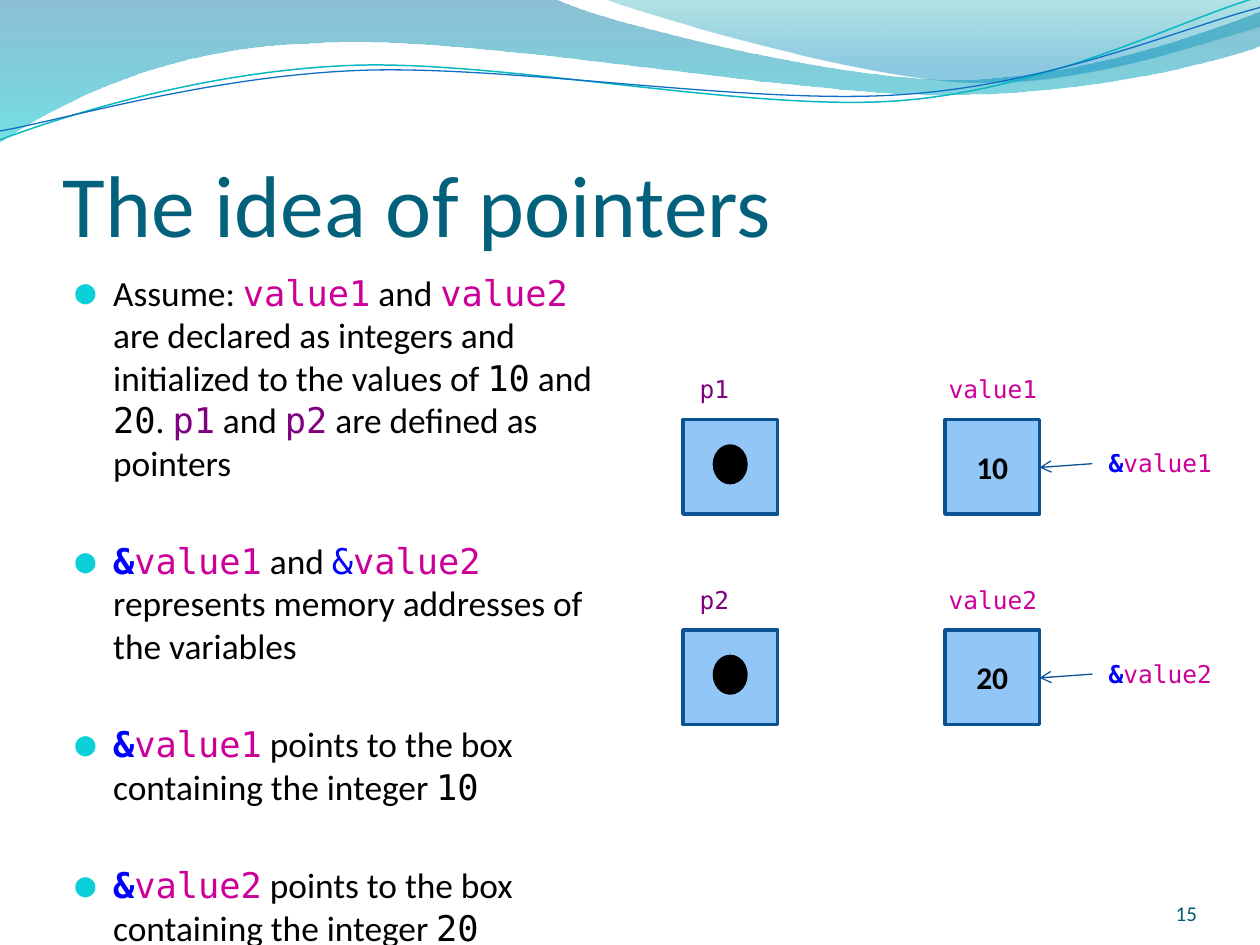
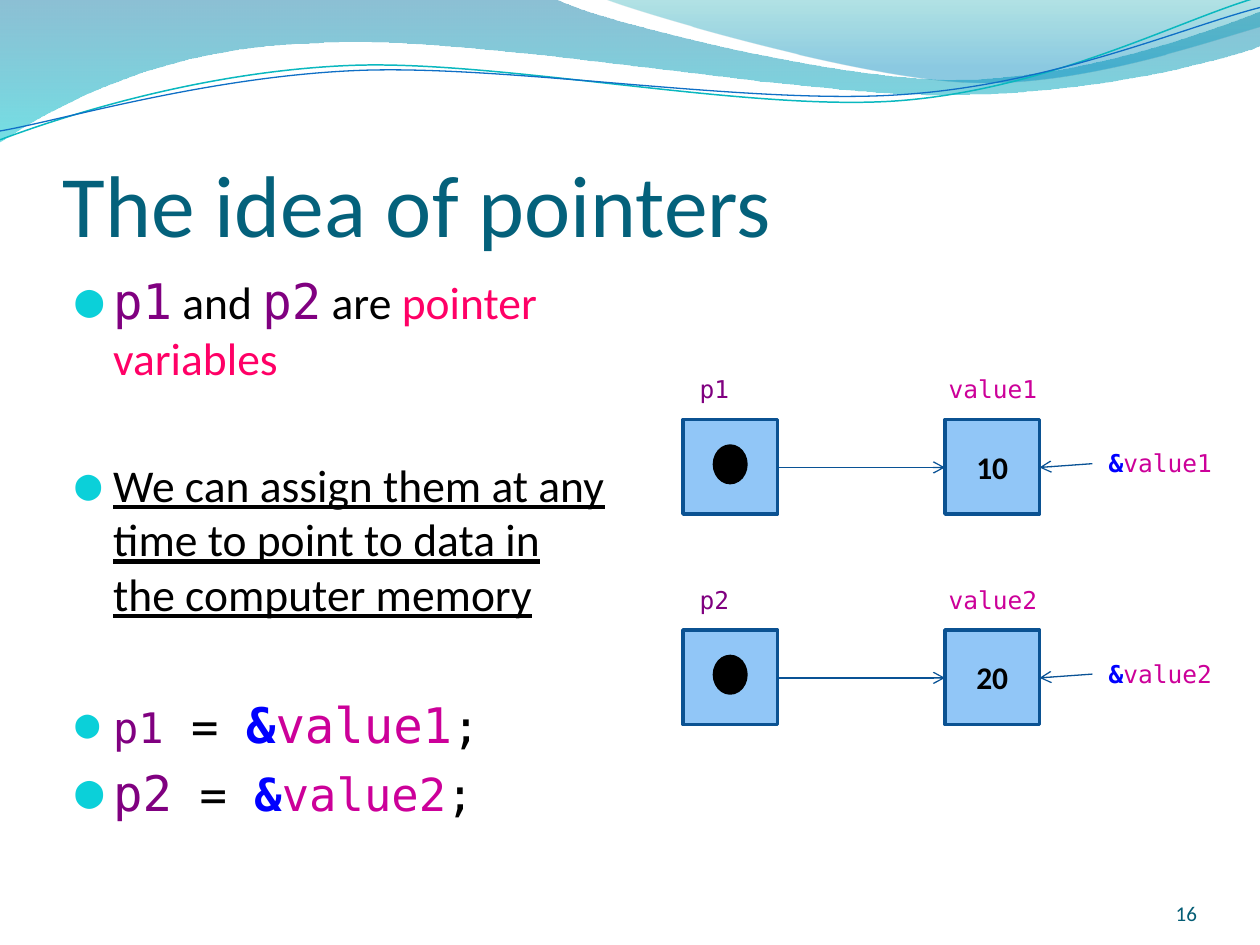
"""Two slides on the idea of C pointers, with a box-and-arrow memory diagram."""
from dataclasses import dataclass
from math import cos, radians, sin

from pptx import Presentation
from pptx.dml.color import RGBColor as RGB
from pptx.enum.shapes import MSO_CONNECTOR as CONN, MSO_SHAPE as SHAPE
from pptx.enum.text import MSO_ANCHOR as ANCHOR, PP_ALIGN as ALIGN
from pptx.oxml.ns import qn
from pptx.oxml.xmlchemy import OxmlElement
from pptx.util import Inches, Pt


@dataclass(frozen=True)
class Theme:
    """Colours, fonts and type sizes shared by the slides."""
    sans: str = "Calibri"
    mono: str = "DejaVu Sans Mono"
    title: str = "04617B"
    number: str = "045D75"
    text: str = "000000"
    bullet: str = "0BD0D9"
    value: str = "CC0099"
    pointer: str = "800080"
    address: str = "0000FF"
    accent: str = "FF0066"
    box_fill: str = "91C6F7"
    box_line: str = "0B5292"
    arrow: str = "095295"
    title_size: float = 50
    box_size: float = 18
    label_size: float = 14
    number_size: float = 12


T = Theme()

STYLES = {
    "title": dict(name=T.sans, color=T.title),
    "number": dict(name=T.sans, color=T.number),
    "text": dict(name=T.sans, color=T.text),
    "strong": dict(name=T.sans, color=T.text, bold=True),
    "underlined": dict(name=T.sans, color=T.text, underline=True),
    "accent": dict(name=T.sans, color=T.accent),
    "code": dict(name=T.mono, color=T.text),
    "value": dict(name=T.mono, color=T.value),
    "pointer": dict(name=T.mono, color=T.pointer),
    "amp": dict(name=T.mono, color=T.address, bold=True),
    "plain_amp": dict(name=T.mono, color=T.address),
}

WAVES = [
    ((0, 0), [(4.4, -0.01), (4.76, 0.17, 6.64, 0.63, 7.58, 0.63),
              (8.53, 0.63, 9.58, 0.26, 10, 0.09), (10.01, 0.36),
              (9.83, 0.44, 8.7, 0.76, 7.46, 0.75),
              (6.22, 0.75, 3.82, 0.28, 2.57, 0.34),
              (1.29, 0.36, 0.46, 0.83, -0.01, 1.13), (0, 0)],
     [(0, "0074A1", 45), (1, "00C6CF", 55)]),
    ((4.79, -0.01), [(5.09, 0.11, 6.82, 0.62, 7.69, 0.65),
                     (8.56, 0.69, 9.61, 0.32, 10, 0.21), (10, 0), (4.79, -0.01)],
     [(0, "00A1A9", 30), (0.8, "008BBF", 45)]),
]
SWIRL_TILT = -2.7
SWIRLS = [
    ((0, 1.11), [(0.48, 0.93, 1.58, 0.57, 2.77, 0.52),
                 (3.95, 0.47, 5.93, 0.89, 7.13, 0.8),
                 (8.33, 0.71, 9.38, 0.15, 9.98, -0.02)], (4.99, 0.57), "0AB8BF", 0.85),
    ((0, 1.04), [(0.47, 0.96, 1.64, 0.61, 2.83, 0.56),
                 (4.03, 0.51, 5.97, 0.84, 7.17, 0.75),
                 (8.36, 0.67, 9.41, 0.21, 10, 0.06)], (5, 0.59), "0F6FC6", 0.75),
]

ROWS = [("p1", "value1", "10"), ("p2", "value2", "20")]
ROW_TOP, ROW_PITCH, BOX = 3.33, 1.67, 0.75
POINTER_X, VALUE_X, ADDRESS_X = 5.42, 7.5, 8.67


def points_to(value, number):
    """Return the runs saying which box an address points to."""
    return [("amp", "&"), ("value", value),
            ("text", " points to the box containing the integer "), ("code", number)]


ASSUMPTIONS = [
    (0, [("text", "Assume: "), ("value", "value1"), ("text", " and "), ("value", "value2"),
         ("text", " are declared as integers and initialized to the values of "),
         ("code", "10"), ("text", " and "), ("code", "20"), ("text", ". "),
         ("pointer", "p1"), ("text", " and "), ("pointer", "p2"),
         ("text", " are defined as pointers")]),
    (32, [("amp", "&"), ("value", "value1"), ("text", " and "), ("plain_amp", "&"),
          ("value", "value2"), ("text", " represents memory addresses of the variables")]),
    (32, points_to("value1", "10")),
    (32, points_to("value2", "20")),
]
ASSIGNMENTS = [
    (0, [("pointer", "p1", 28), ("text", " and "), ("pointer", "p2", 28),
         ("text", " are "), ("accent", "pointer variables")]),
    (41.5, [("underlined", "We can assign them at any time to point to data "
                           "in the computer memory")]),
    (42, [("pointer", "p1", 24), ("code", " = "), ("amp", "&", 28),
          ("value", "value1", 28), ("code", ";")]),
    (5.5, [("pointer", "p2", 28), ("code", " = "), ("amp", "&"),
           ("value", "value2"), ("code", ";")]),
]


def set_font(font, style, size=None):
    """Apply a named style, and a size if given, to a font."""
    look = STYLES[style]
    font.name = look["name"]
    font.color.rgb = RGB.from_string(look["color"])
    if look.get("bold"):
        font.bold = True
    if look.get("underline"):
        font.underline = True
    if size:
        font.size = Pt(size)


def write(p, runs, size, align=None):
    """Write styled runs of (style, text[, size]) into a paragraph."""
    p.font.size = Pt(size)
    if align is not None:
        p.alignment = align
    for style, text, *own_size in runs:
        r = p.add_run()
        r.text = text
        set_font(p.font if len(runs) == 1 else r.font, style, *own_size)


def add_text(slide, at, runs, size, align=None, anchor=ANCHOR.TOP, insets=None):
    """Add a wrapping text box, with one paragraph if runs are given."""
    tf = slide.shapes.add_textbox(*map(Inches, at)).text_frame
    tf.word_wrap = True
    tf.vertical_anchor = anchor
    if insets:
        tf.margin_left, tf.margin_top, tf.margin_right, tf.margin_bottom = map(Inches, insets)
    if runs:
        write(tf.paragraphs[0], runs, size, align)
    return tf


def add_child(parent, tag, **attributes):
    """Append a new XML element with the given attributes."""
    child = OxmlElement(tag)
    for name, value in attributes.items():
        child.set(name, str(value))
    parent.append(child)
    return child


def add_bullet(p):
    """Give a paragraph a hanging round bullet."""
    pPr = p._p.get_or_add_pPr()
    pPr.set("marL", str(Inches(0.3)))
    pPr.set("indent", str(Inches(-0.3)))
    add_child(add_child(pPr, "a:buClr"), "a:srgbClr", val=T.bullet)
    add_child(pPr, "a:buSzPct", val=95000)
    add_child(pPr, "a:buFont", typeface=T.mono)
    add_child(pPr, "a:buChar", char="●")


def add_bullets(slide, items, size):
    """Add the body list from (space before, runs) items."""
    tf = add_text(slide, (0.5, 2.1, 4.42, 4.85), None, size)
    for i, (space, runs) in enumerate(items):
        p = tf.add_paragraph() if i else tf.paragraphs[0]
        add_bullet(p)
        if space:
            p.space_before = Pt(space)
        write(p, runs, size)


def pairs(seg):
    """Split flat inch coordinates into points in EMU."""
    return [(Inches(x), Inches(y)) for x, y in zip(seg[::2], seg[1::2])]


def add_curve(slide, start, segments, close):
    """Add a freeform of straight (2 numbers) and cubic (6 numbers) segments."""
    first, = pairs(start)
    routes = [pairs(seg) for seg in segments]
    builder = slide.shapes.build_freeform(*first)
    builder.add_line_segments([route[-1] for route in routes], close=close)
    sp = builder.convert_to_shape()
    sp.shadow.inherit = False
    for line, route in zip(list(sp._element.iter(qn("a:lnTo"))), routes):
        if len(route) == 3:
            cubic = OxmlElement("a:cubicBezTo")
            for x, y in route:
                add_child(cubic, "a:pt", x=x - sp.left, y=y - sp.top)
            line.getparent().replace(line, cubic)
    return sp


def add_wave(slide, start, segments, stops):
    """Add a wave filled with a translucent vertical gradient."""
    sp = add_curve(slide, start, segments, True)
    sp.line.fill.background()
    sp.fill.gradient()
    sp.fill.gradient_angle = 270
    for stop, (position, color, opacity) in zip(sp.fill.gradient_stops, stops):
        stop.position = position
        stop.color.rgb = RGB.from_string(color)
        add_child(stop._gs.find(qn("a:srgbClr")), "a:alpha", val=opacity * 1000)


def turn(seg, center, degrees):
    """Rotate flat coordinates clockwise about a centre."""
    a, (cx, cy) = radians(degrees), center
    turned = []
    for x, y in zip(seg[::2], seg[1::2]):
        dx, dy = x - cx, y - cy
        turned += [cx + dx * cos(a) - dy * sin(a), cy + dx * sin(a) + dy * cos(a)]
    return turned


def add_swirl(slide, start, segments, center, color, width):
    """Add a thin open curve on a tilted frame."""
    level = [turn(seg, center, -SWIRL_TILT) for seg in (start, *segments)]
    sp = add_curve(slide, level[0], level[1:], False)
    sp.rotation = SWIRL_TILT
    sp.fill.background()
    sp.line.color.rgb = RGB.from_string(color)
    sp.line.width = Pt(width)


def add_solid(slide, kind, at, fill, line):
    """Add a filled and outlined preset shape."""
    sp = slide.shapes.add_shape(kind, *map(Inches, at))
    sp.shadow.inherit = False
    sp.fill.solid()
    sp.fill.fore_color.rgb = RGB.from_string(fill)
    sp.line.color.rgb = RGB.from_string(line)
    sp.line.width = Pt(2)
    return sp


def add_arrow(slide, start, end):
    """Add a thin arrow between two points."""
    line = slide.shapes.add_connector(CONN.STRAIGHT, *map(Inches, start + end))
    line.line.color.rgb = RGB.from_string(T.arrow)
    line.line.width = Pt(0.75)
    spPr = line._element.spPr
    add_child(spPr.find(qn("a:ln")), "a:tailEnd", type="arrow")
    add_child(spPr, "a:effectLst")


def add_label(slide, left, top, width, runs):
    """Add a small centred code label."""
    add_text(slide, (left, top, width, 0.34), runs, T.label_size, ALIGN.CENTER)


def add_memory_row(slide, top, names, linked):
    """Draw a pointer box, its value box and the address label."""
    pointer, value, number = names
    middle = top + 0.38
    add_solid(slide, SHAPE.RECTANGLE, (POINTER_X, top, BOX, BOX), T.box_fill, T.box_line)
    add_solid(slide, SHAPE.OVAL, (POINTER_X + 0.25, top + 0.21, 0.25, 0.29), T.text, T.text)
    box = add_solid(slide, SHAPE.RECTANGLE, (VALUE_X, top, BOX, BOX), T.box_fill, T.box_line)
    box.text_frame.vertical_anchor = ANCHOR.MIDDLE
    write(box.text_frame.paragraphs[0], [("strong", number)], T.box_size, ALIGN.CENTER)
    add_label(slide, POINTER_X, top - 0.41, 0.5, [("pointer", pointer)])
    add_label(slide, VALUE_X - 0.08, top - 0.41, 0.92, [("value", value)])
    add_label(slide, ADDRESS_X, top + 0.18, 1.08, [("amp", "&"), ("value", value)])
    add_arrow(slide, (ADDRESS_X, middle - 0.03), (VALUE_X + BOX, middle))
    if linked:
        add_arrow(slide, (POINTER_X + BOX, middle), (VALUE_X, middle))


def add_slide(prs, number, items, size, linked):
    """Add a slide with waves, title, list, memory diagram and number."""
    slide = prs.slides.add_slide(prs.slide_layouts[6])
    for wave in WAVES:
        add_wave(slide, *wave)
    for swirl in SWIRLS:
        add_swirl(slide, *swirl)
    add_text(slide, (0.5, 0.77, 9, 1.25), [("title", "The idea of pointers")],
             T.title_size, anchor=ANCHOR.BOTTOM, insets=(0, 0.05, 0, 0))
    add_bullets(slide, items, size)
    for i, names in enumerate(ROWS):
        add_memory_row(slide, ROW_TOP + i * ROW_PITCH, names, linked)
    add_text(slide, (8.67, 6.95, 0.83, 0.4), [("number", str(number))],
             T.number_size, ALIGN.RIGHT, ANCHOR.BOTTOM, (0, 0, 0, 0))


def main():
    """Build and save the presentation."""
    prs = Presentation()
    prs.slide_width, prs.slide_height = Inches(10), Inches(7.5)
    add_slide(prs, 15, ASSUMPTIONS, 20.2, linked=False)
    add_slide(prs, 16, ASSIGNMENTS, 26, linked=True)
    prs.save("out.pptx")


if __name__ == "__main__":
    main()
